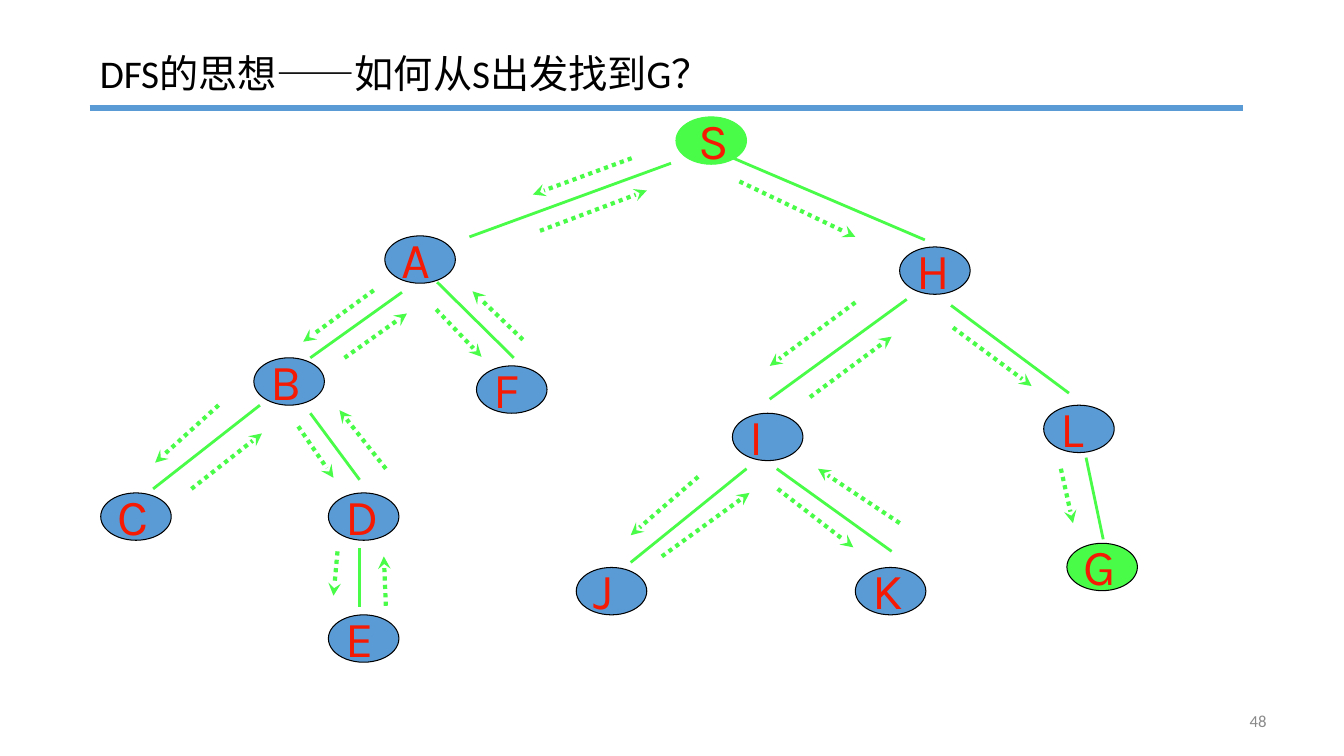
from typing import NamedTuple, Optional

import pptx
import pptx.dml.color
import pptx.enum.dml
import pptx.enum.shapes
import pptx.enum.text
import pptx.oxml
import pptx.oxml.ns
import pptx.util
from pptx.util import Inches

RGBColor = pptx.dml.color.RGBColor
BLUE = RGBColor(0x5B, 0x9B, 0xD5)
GREEN = RGBColor(0x48, 0xFC, 0x48)
RED = RGBColor(0xF5, 0x1A, 0x03)
BLACK = RGBColor(0, 0, 0)
GRAY = RGBColor(0x89, 0x89, 0x89)

NODE_WIDTH, NODE_HEIGHT = 0.7, 0.47
DRAWING_NS = pptx.oxml.ns.nsdecls("a")


class Segment(NamedTuple):
    x1: float
    y1: float
    x2: float
    y2: float


class Node(NamedTuple):
    letter: str
    left: float
    top: float
    fill: RGBColor = BLUE
    outline: RGBColor = BLACK
    letter_indent: float = 0.17


class Branch(NamedTuple):
    """A tree edge with the search step down it and, if any, the step back."""
    edge: Segment
    descend: Segment
    backtrack: Optional[Segment] = None


NODES = [
    Node("S", 6.71, 1.16, GREEN, GREEN, 0.22),
    Node("A", 3.82, 2.34),
    Node("B", 2.52, 3.55),
    Node("C", 1, 4.89),
    Node("D", 3.26, 4.89),
    Node("E", 3.26, 6.1),
    Node("F", 4.73, 3.63),
    Node("H", 8.93, 2.45),
    Node("I", 7.27, 4.1),
    Node("J", 5.72, 5.63),
    Node("K", 8.49, 5.63),
    Node("L", 10.36, 4.02),
    Node("G", 10.59, 5.39, GREEN),
]

BRANCHES = [
    # S-A, A-B, B-C
    Branch(Segment(6.66, 1.62, 4.66, 2.35), Segment(6.27, 1.57, 5.29, 1.93),
           Segment(5.36, 2.29, 6.42, 1.89)),
    Branch(Segment(3.99, 2.9, 3.08, 3.55), Segment(3.71, 2.88, 3.01, 3.39),
           Segment(3.42, 3.55, 4.04, 3.11)),
    Branch(Segment(2.58, 4.02, 1.52, 4.85), Segment(2.17, 4.02, 1.54, 4.59),
           Segment(1.9, 4.85, 2.6, 4.3)),
    # B-D, D-E, A-F
    Branch(Segment(3.08, 4.1, 3.57, 4.76), Segment(2.96, 4.23, 3.31, 4.74),
           Segment(3.83, 4.65, 3.37, 4.07)),
    Branch(Segment(3.57, 5.44, 3.57, 6.02), Segment(3.35, 5.47, 3.31, 5.91),
           Segment(3.83, 6.01, 3.81, 5.52)),
    Branch(Segment(4.34, 2.8, 5.1, 3.55), Segment(4.33, 3.07, 4.78, 3.54),
           Segment(5.19, 3.37, 4.69, 2.89)),
    # S-H, H-I, I-J, I-K
    Branch(Segment(7.28, 1.57, 9.18, 2.38), Segment(7.34, 1.8, 8.49, 2.35)),
    Branch(Segment(9, 2.97, 7.64, 3.96), Segment(8.49, 3, 7.64, 3.63),
           Segment(8.04, 3.94, 8.85, 3.34)),
    Branch(Segment(7.41, 4.65, 6.26, 5.58), Segment(6.93, 4.73, 6.26, 5.31),
           Segment(6.57, 5.52, 7.44, 4.89)),
    Branch(Segment(7.71, 4.65, 8.85, 5.47), Segment(7.72, 4.85, 8.47, 5.43),
           Segment(8.93, 5.19, 8.12, 4.65)),
    # H-L, L-G
    Branch(Segment(9.44, 3.03, 10.61, 3.9), Segment(9.46, 3.25, 10.24, 3.83)),
    Branch(Segment(10.78, 4.54, 10.95, 5.35), Segment(10.53, 4.65, 10.65, 5.19)),
]


def draw_line(slide, segment: Segment, color: RGBColor, width: float,
              is_step: bool = False) -> None:
    line = slide.shapes.add_connector(
        pptx.enum.shapes.MSO_CONNECTOR.STRAIGHT, *map(Inches, segment))
    line.line.color.rgb = color
    line.line.width = pptx.util.Pt(width)
    if is_step:
        line.line.dash_style = pptx.enum.dml.MSO_LINE.ROUND_DOT
        line.line._get_or_add_ln().append(
            pptx.oxml.parse_xml(f'<a:tailEnd {DRAWING_NS} type="stealth"/>'))
    line._element.spPr.append(pptx.oxml.parse_xml(f"<a:effectLst {DRAWING_NS}/>"))


def write_text(shape, text: str, font_name: str, size: float, color: RGBColor,
               anchor: pptx.enum.text.MSO_ANCHOR,
               align: pptx.enum.text.PP_ALIGN = pptx.enum.text.PP_ALIGN.LEFT) -> None:
    frame = shape.text_frame
    frame.text = text
    frame.word_wrap = True
    frame.auto_size = pptx.enum.text.MSO_AUTO_SIZE.NONE
    frame.vertical_anchor = anchor
    paragraph = frame.paragraphs[0]
    paragraph.alignment = align
    paragraph.font.name = font_name
    paragraph.font.size = pptx.util.Pt(size)
    paragraph.font.color.rgb = color


def draw_node(slide, node: Node) -> None:
    oval = slide.shapes.add_shape(
        pptx.enum.shapes.MSO_SHAPE.OVAL, Inches(node.left), Inches(node.top),
        Inches(NODE_WIDTH), Inches(NODE_HEIGHT))
    oval.shadow.inherit = False
    oval.fill.solid()
    oval.fill.fore_color.rgb = node.fill
    oval.line.color.rgb = node.outline
    oval.line.width = pptx.util.Pt(0.75)

    letter = slide.shapes.add_textbox(
        Inches(node.left + node.letter_indent), Inches(node.top - 0.08),
        Inches(0.26), Inches(0.6))
    write_text(letter, node.letter, "Karla", 36, RED,
               pptx.enum.text.MSO_ANCHOR.MIDDLE)
    frame = letter.text_frame
    frame.margin_left = frame.margin_right = 0
    frame.margin_top = frame.margin_bottom = 0


def main() -> None:
    deck = pptx.Presentation()
    deck.slide_width, deck.slide_height = Inches(13.34), Inches(7.5)
    slide = deck.slides.add_slide(deck.slide_layouts.get_by_name("Title Only"))

    # Title and rule
    title = slide.shapes.title
    title.left, title.top = Inches(0.89), Inches(0.44)
    title.width, title.height = Inches(11.34), Inches(0.57)
    write_text(title, "DFS的思想——如何从S出发找到G？", "Calibri", 28, BLACK,
               pptx.enum.text.MSO_ANCHOR.TOP)
    draw_line(slide, Segment(0.89, 1.07, 12.34, 1.07), BLUE, 4)

    # Tree nodes
    for node in NODES:
        draw_node(slide, node)

    # Edges and search steps
    for branch in BRANCHES:
        draw_line(slide, branch.edge, GREEN, 2)
        for step in (branch.descend, branch.backtrack):
            if step:
                draw_line(slide, step, GREEN, 3, is_step=True)

    # Page number
    page_number = slide.shapes.add_textbox(
        Inches(9.56), Inches(6.95), Inches(3.11), Inches(0.4))
    write_text(page_number, "48", "Calibri", 12, GRAY,
               pptx.enum.text.MSO_ANCHOR.MIDDLE, pptx.enum.text.PP_ALIGN.RIGHT)

    deck.save("out.pptx")


if __name__ == "__main__":
    main()
